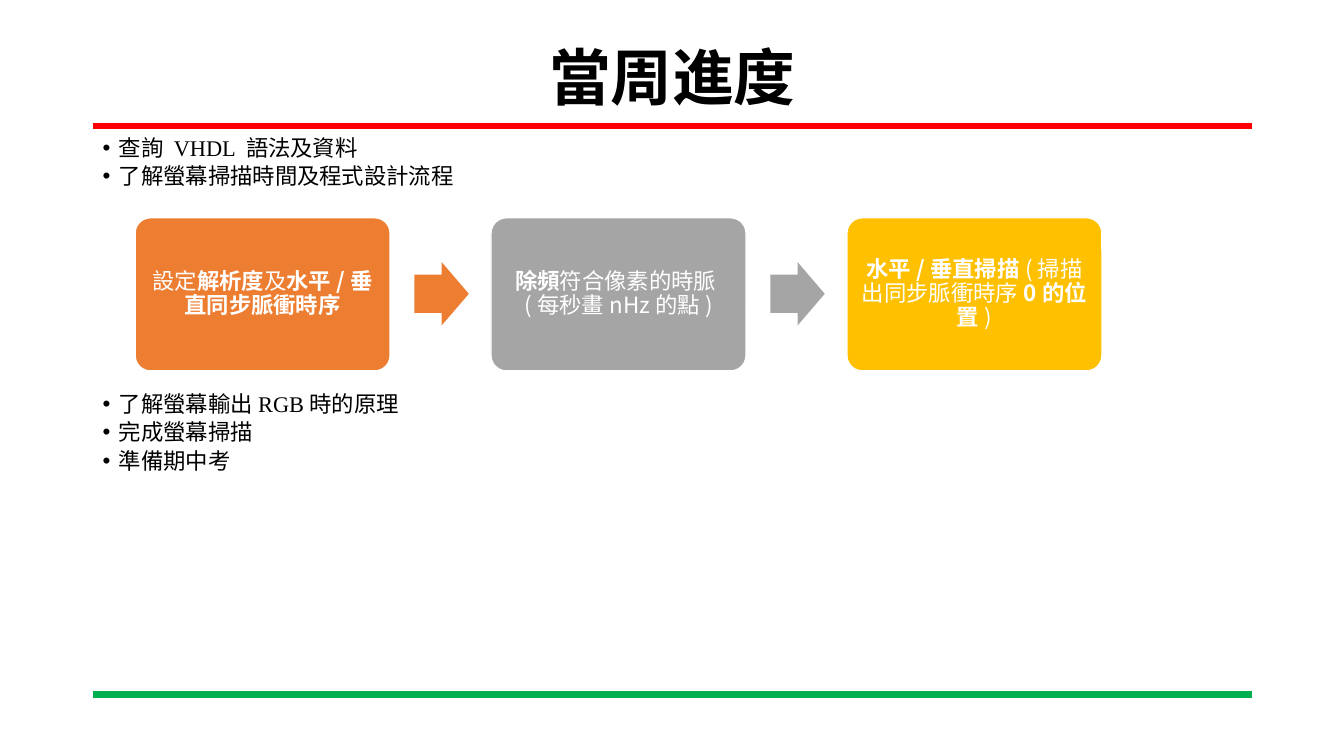
from lxml.etree import SubElement
from pptx import Presentation
from pptx.dml.color import RGBColor
from pptx.enum.shapes import MSO_CONNECTOR as Link, MSO_SHAPE as Kind
from pptx.enum.text import MSO_ANCHOR as Anchor, PP_ALIGN as Align
from pptx.oxml.ns import qn
from pptx.util import Inches, Pt


def tint(code):
    return RGBColor.from_string(code)


class Deck:
    serif = "Times New Roman"
    sans = "Noto Sans CJK SC"
    black = "000000"
    white = "FFFFFF"

    def __init__(self):
        self.prs = Presentation()
        self.prs.slide_width = Inches(13.33)
        self.prs.slide_height = Inches(7.5)
        self.slide = self.prs.slides.add_slide(self.prs.slide_layouts[6])
        self.shapes = self.slide.shapes

    def style(self, para, face, size, color, bold=None):
        para.line_spacing = 0.9
        font = para.font
        font.name, font.size, font.bold = face, Pt(size), bold
        font.color.rgb = tint(color)
        # East Asian glyphs take the sans face
        props = para._p.get_or_add_pPr().find(qn("a:defRPr"))
        SubElement(props, qn("a:ea"), typeface=self.sans)

    def frame(self, left, top, width, height):
        box = self.shapes.add_textbox(*map(Inches, (left, top, width, height)))
        box.text_frame.word_wrap = True
        return box.text_frame

    def rule(self, top, color):
        line = self.shapes.add_connector(
            Link.STRAIGHT, Inches(0.92), Inches(top), Inches(12.42), Inches(top))
        line.line.color.rgb = tint(color)
        line.line.width = Pt(4.5)
        SubElement(line._element.spPr, qn("a:effectLst"))

    def title(self, text):
        frame = self.frame(0.92, 0.4, 11.5, 0.79)
        frame.vertical_anchor = Anchor.MIDDLE
        para = frame.paragraphs[0]
        para.text = text
        para.alignment = Align.CENTER
        self.style(para, self.serif, 44, self.black, True)

    def bullets(self, top, height, items):
        frame = self.frame(0.92, top, 11.5, height)
        for i, item in enumerate(items):
            para = frame.add_paragraph() if i else frame.paragraphs[0]
            para.text = item
            para.space_before = Pt(3)
            props = para._p.get_or_add_pPr()
            props.set("marL", str(Inches(0.16)))
            props.set("indent", str(-Inches(0.16)))
            SubElement(props, qn("a:buFont"), typeface="Arial")
            SubElement(props, qn("a:buChar"), char="•")
            self.style(para, self.serif, 16, self.black)

    def solid(self, kind, left, top, width, height, color, adjust):
        shape = self.shapes.add_shape(
            kind, *map(Inches, (left, top, width, height)))
        shape.shadow.inherit = False
        shape.fill.solid()
        shape.fill.fore_color.rgb = tint(color)
        shape.line.fill.background()
        for i, value in enumerate(adjust):
            shape.adjustments[i] = value
        return shape

    def step(self, left, color, parts):
        card = self.solid(Kind.ROUNDED_RECTANGLE, left, 2.16, 2.53, 1.52,
                          color, [0.1])
        card.line.color.rgb = tint(self.white)
        card.line.width = Pt(1)
        frame = card.text_frame
        frame.word_wrap = True
        frame.vertical_anchor = Anchor.MIDDLE
        frame.margin_left = frame.margin_right = Inches(0.07)
        frame.margin_top = frame.margin_bottom = Inches(0.07)
        para = frame.paragraphs[0]
        para.alignment = Align.CENTER
        self.style(para, self.sans, 16, self.white)
        for text, bold in parts:
            run = para.add_run()
            run.text = text
            run.font.bold = bold

    def arrow(self, left, color):
        self.solid(Kind.RIGHT_ARROW, left, 2.6, 0.54, 0.63, color, [0.6, 0.5])


def main():
    deck = Deck()

    # Heading and rules
    deck.rule(1.25, "FF0000")
    deck.rule(6.89, "00B050")
    deck.title("當周進度")

    # Bullets above and below the flow
    deck.bullets(1.31, 0.7, ["查詢 VHDL 語法及資料", "了解螢幕掃描時間及程式設計流程"])
    deck.bullets(3.85, 1, ["了解螢幕輸出RGB時的原理", "完成螢幕掃描", "準備期中考"])

    # Flow of steps, an arrow after each but the last
    steps = [
        ("ED7D31", [("設定", False), ("解析度", True), ("及", False),
                    ("水平/垂直同步脈衝時序", True)]),
        ("A5A5A5", [("除頻", True), ("符合像素的時脈(每秒畫nHz的點)", False)]),
        ("FFC000", [("水平/垂直掃描", True), ("(掃描出同步脈衝時序", False),
                    ("0的位置", True), (")", False)]),
    ]
    for i, (color, parts) in enumerate(steps):
        left = 1.34 + 3.53 * i
        deck.step(left, color, parts)
        if i < len(steps) - 1:
            deck.arrow(left + 2.77, color)

    deck.prs.save("out.pptx")


if __name__ == "__main__":
    main()
